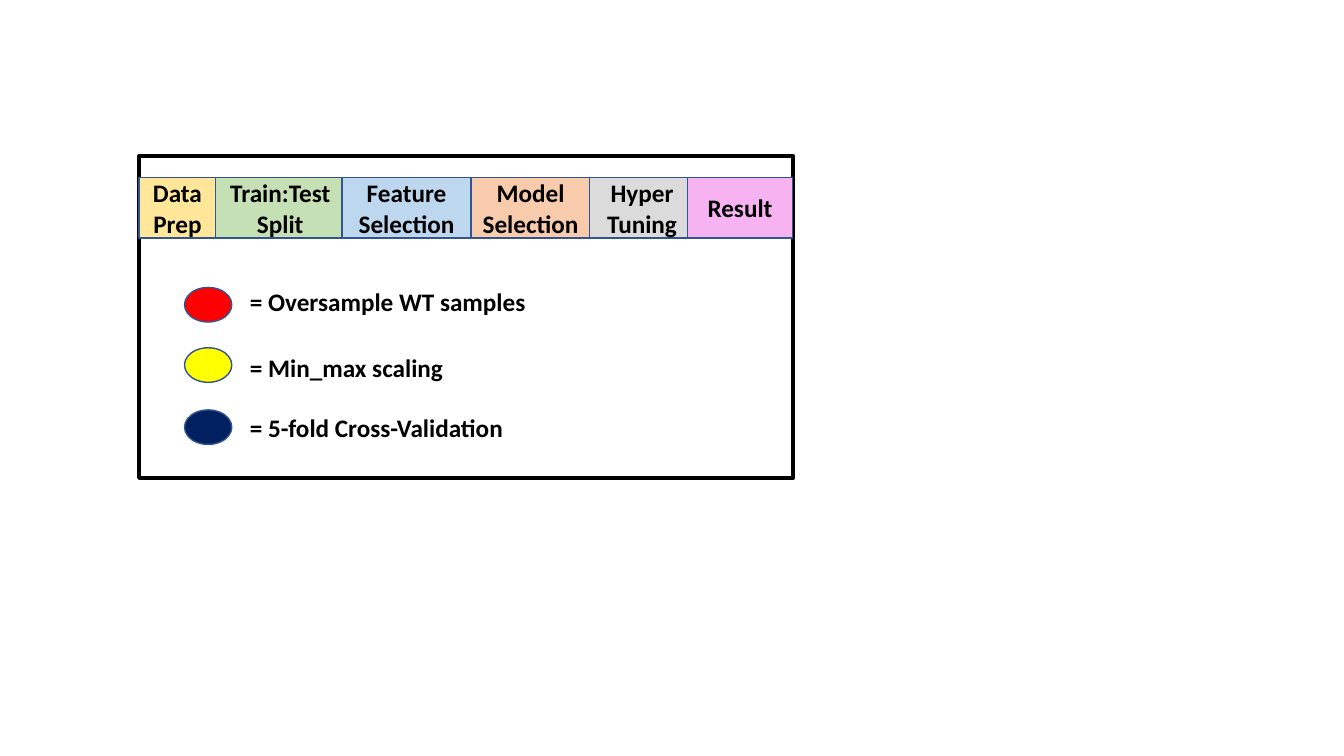
from dataclasses import dataclass

from pptx import Presentation
from pptx.dml.color import RGBColor as RGB
from pptx.enum.shapes import MSO_SHAPE as Shape
from pptx.enum.text import MSO_ANCHOR as Anchor, MSO_AUTO_SIZE as AutoSize, PP_ALIGN as Align
from pptx.util import Pt


@dataclass(frozen=True)
class Theme:
    """Colours, font and type size of the slide."""
    font: str = "Calibri"
    size: float = 18
    ink: str = "000000"
    paper: str = "FFFFFF"
    outline: str = "325491"
    prep: str = "FFE699"
    split: str = "C5E0B4"
    feature: str = "BDD7EE"
    model: str = "F8CBAD"
    tuning: str = "DBDBDB"
    result: str = "F7B3F1"
    oversample: str = "FF0000"
    scaling: str = "FFFF00"
    validation: str = "002060"


T = Theme()
STEP_TOP, STEP_HEIGHT = 126.9, 43.2
STEPS = [
    ("Data Prep", 99.4, 54.7, T.prep),
    ("Train:Test\vSplit", 154.1, 92.2, T.split),
    ("Feature Selection", 244.3, 92.2, T.feature),
    ("Model\nSelection", 336.8, 84.4, T.model),
    ("Hyper\nTuning", 421.2, 74.9, T.tuning),
    ("Result", 491.2, 74.9, T.result),
]
LEGEND = [
    ("= Oversample WT samples", 205.3, 200.9, 213.1, T.oversample),
    ("= Min_max scaling", 248.4, 248.4, 154.1, T.scaling),
    ("= 5-fold Cross-Validation", 292.8, 290.9, 198, T.validation),
]


def write(tf, text, align=Align.LEFT, anchor=Anchor.TOP, wrap=True, color=T.ink):
    """Fill a text frame with bold text in the theme font."""
    tf.text = text
    tf.word_wrap = wrap
    tf.vertical_anchor = anchor
    for p in tf.paragraphs:
        p.alignment = align
        for r in p.runs:
            r.font.name, r.font.size, r.font.bold = T.font, Pt(T.size), True
            r.font.color.rgb = RGB.from_string(color)


def add_box(s, kind, left, top, width, height, fill, line=T.outline, weight=1):
    """Add a filled and outlined shape."""
    sp = s.shapes.add_shape(kind, Pt(left), Pt(top), Pt(width), Pt(height))
    sp.shadow.inherit = False
    sp.fill.solid()
    sp.fill.fore_color.rgb = RGB.from_string(fill)
    sp.line.color.rgb = RGB.from_string(line)
    sp.line.width = Pt(weight)
    return sp


def add_step(s, text, left, width, fill):
    """Add one step of the pipeline."""
    sp = add_box(s, Shape.RECTANGLE, left, STEP_TOP, width, STEP_HEIGHT, fill)
    write(sp.text_frame, text, align=Align.CENTER, anchor=Anchor.MIDDLE)


def add_legend_entry(s, text, dot_top, text_top, width, fill):
    """Add a coloured dot and its meaning."""
    add_box(s, Shape.OVAL, 131.8, dot_top, 33.8, 24.7, fill)
    tf = s.shapes.add_textbox(Pt(171.4), Pt(text_top), Pt(width), Pt(29.1)).text_frame
    write(tf, text, wrap=False)
    tf.auto_size = AutoSize.SHAPE_TO_FIT_TEXT


def main():
    """Build and save the slide."""
    prs = Presentation()
    prs.slide_width, prs.slide_height = Pt(960), Pt(540)
    s = prs.slides.add_slide(prs.slide_layouts[6])
    add_box(s, Shape.RECTANGLE, 99.4, 111.6, 467.3, 229.7, T.paper, line=T.ink, weight=3)
    for step in STEPS:
        add_step(s, *step)
    for entry in LEGEND:
        add_legend_entry(s, *entry)
    prs.save("out.pptx")


if __name__ == "__main__":
    main()
